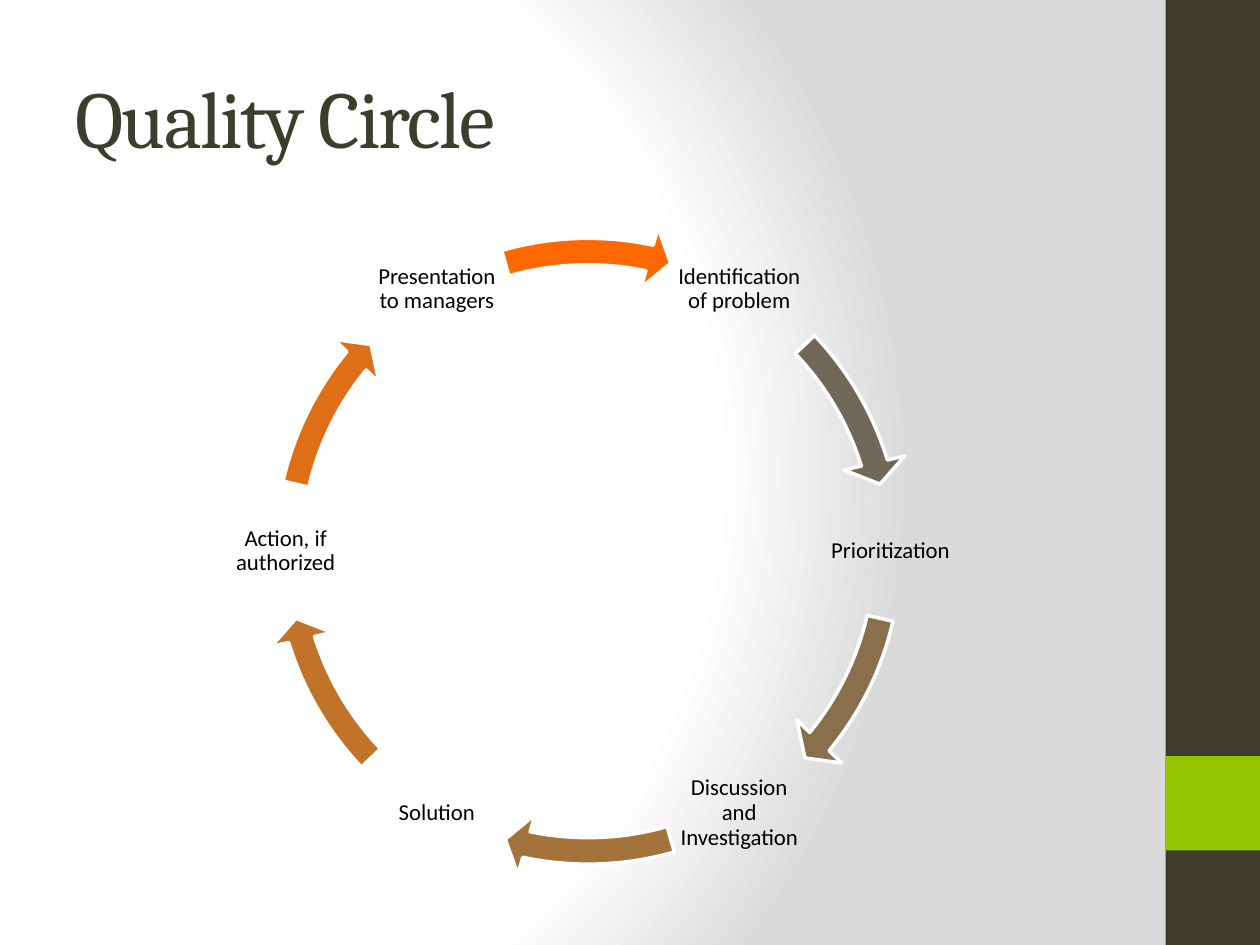
from math import cos, radians, sin

from pptx import Presentation
from pptx.dml.color import RGBColor
from pptx.enum.shapes import MSO_SHAPE
from pptx.enum.text import MSO_ANCHOR, PP_ALIGN
from pptx.oxml import parse_xml
from pptx.oxml.ns import nsdecls, qn
from pptx.util import Pt

RECTANGLE = MSO_SHAPE.RECTANGLE
CIRCULAR_ARROW = MSO_SHAPE.CIRCULAR_ARROW
MIDDLE = MSO_ANCHOR.MIDDLE
CENTER = PP_ALIGN.CENTER

WHITE = RGBColor(0xFF, 0xFF, 0xFF)
BLACK = RGBColor(0x00, 0x00, 0x00)
GREY = RGBColor(0xDA, 0xDA, 0xDA)
OLIVE = RGBColor(0x3E, 0x3D, 0x2D)
GREEN = RGBColor(0x94, 0xC6, 0x00)

STEPS = [
    ("Identification of problem", RGBColor(0x71, 0x68, 0x5A)),
    ("Prioritization", RGBColor(0x8A, 0x6F, 0x4C)),
    ("Discussion and Investigation", RGBColor(0xA4, 0x73, 0x3C)),
    ("Solution", RGBColor(0xC1, 0x73, 0x2A)),
    ("Action, if authorized", RGBColor(0xDF, 0x6F, 0x16)),
    ("Presentation to managers", RGBColor(0xFF, 0x67, 0x00)),
]
# Tail and tip angles in degrees; the second half turn repeats the first.
ARROW_ANGLES = [(316.39, 342.88), (12.94, 39.44), (73.98, 101.85)]
ANGLE_UNIT = 0.6  # adjustment value of one degree
LABEL_SIZE = 77


def paint_background(page):
    """Fill the page with a circular gradient from white to grey."""
    stops = "".join(
        f'<a:gs pos="{percent * 1000}"><a:srgbClr val="{color}"/></a:gs>'
        for percent, color in [(0, WHITE), (75, WHITE), (100, GREY)]
    )
    background = parse_xml(
        f'<p:bg {nsdecls("p", "a")}><p:bgPr><a:gradFill rotWithShape="1">'
        f'<a:gsLst>{stops}</a:gsLst><a:path path="circle">'
        '<a:fillToRect l="20000" t="50000" r="100000" b="50000"/>'
        '</a:path></a:gradFill><a:effectLst/></p:bgPr></p:bg>'
    )
    page.element.find(qn("p:cSld")).insert(0, background)


def add_text(shapes, box, text, font, size, color, inset=(7.2, 3.6)):
    """Add a middle-anchored text box and return its paragraph and run."""
    frame = shapes.add_textbox(*map(Pt, box)).text_frame
    frame.word_wrap = True
    frame.vertical_anchor = MIDDLE
    frame.margin_left = frame.margin_right = Pt(inset[0])
    frame.margin_top = frame.margin_bottom = Pt(inset[1])
    para = frame.paragraphs[0]
    span = para.add_run()
    span.text = text
    span.font.name = font
    span.font.size = Pt(size)
    span.font.color.rgb = color
    return para, span


def add_side_band(page, left, top, width, height):
    """Draw the dark side band with its green square."""
    square_top = top + 0.8 * height
    for y, tall, color in [(top, height, OLIVE), (square_top, width, GREEN)]:
        block = page.shapes.add_shape(
            RECTANGLE, Pt(left), Pt(y), Pt(width), Pt(tall))
        block.shadow.inherit = False
        block.fill.solid()
        block.fill.fore_color.rgb = color
        block.line.fill.background()


def add_title(page, left, top, width, height):
    """Write the title with tightened letters."""
    _, span = add_text(page.shapes, (left, top, width, height),
                       "Quality Circle", "Cambria", 46, OLIVE)
    span.font._element.set("spc", "-100")


def add_arrow(shapes, box, tail, tip, color):
    """Draw one curved arrow of the ring between two angles."""
    arrow = shapes.add_shape(CIRCULAR_ARROW, *map(Pt, box))
    arrow.shadow.inherit = False
    values = (0.04, 2.504, tip * ANGLE_UNIT, tail * ANGLE_UNIT, 0.047)
    for index, value in enumerate(values):
        arrow.adjustments[index] = value
    arrow.fill.solid()
    arrow.fill.fore_color.rgb = color
    arrow.line.color.rgb = WHITE
    arrow.line.width = Pt(2)


def add_cycle(page, left, top, size):
    """Set the steps evenly around a ring, each followed by its arrow."""
    shapes = page.shapes.add_group_shape().shapes
    center_x, center_y = left + size / 2, top + size / 2
    radius = 172.8
    for index, (text, color) in enumerate(STEPS):
        angle = radians(60 * index - 60)
        label_box = (center_x + radius * cos(angle) - LABEL_SIZE / 2,
                     center_y + radius * sin(angle) - LABEL_SIZE / 2,
                     LABEL_SIZE, LABEL_SIZE)
        para, _ = add_text(shapes, label_box, text, "Calibri", 13, BLACK,
                           inset=(1.3, 1.3))
        para.alignment = CENTER
        para.line_spacing = 0.9
        half, position = divmod(index, len(ARROW_ANGLES))
        tail, tip = ((degree + 180 * half) % 360
                     for degree in ARROW_ANGLES[position])
        add_arrow(shapes, (left, top, size, size), tail, tip, color)


def build_deck():
    """Build the one-page deck."""
    deck = Presentation()
    deck.slide_width, deck.slide_height = Pt(720), Pt(540)
    page = deck.slides.add_slide(deck.slide_layouts[6])
    paint_background(page)
    add_side_band(page, 666, 0, 54, 540)
    add_title(page, 36, 21.6, 600, 90)
    add_cycle(page, 147, 126, 378)
    return deck


build_deck().save("out.pptx")
